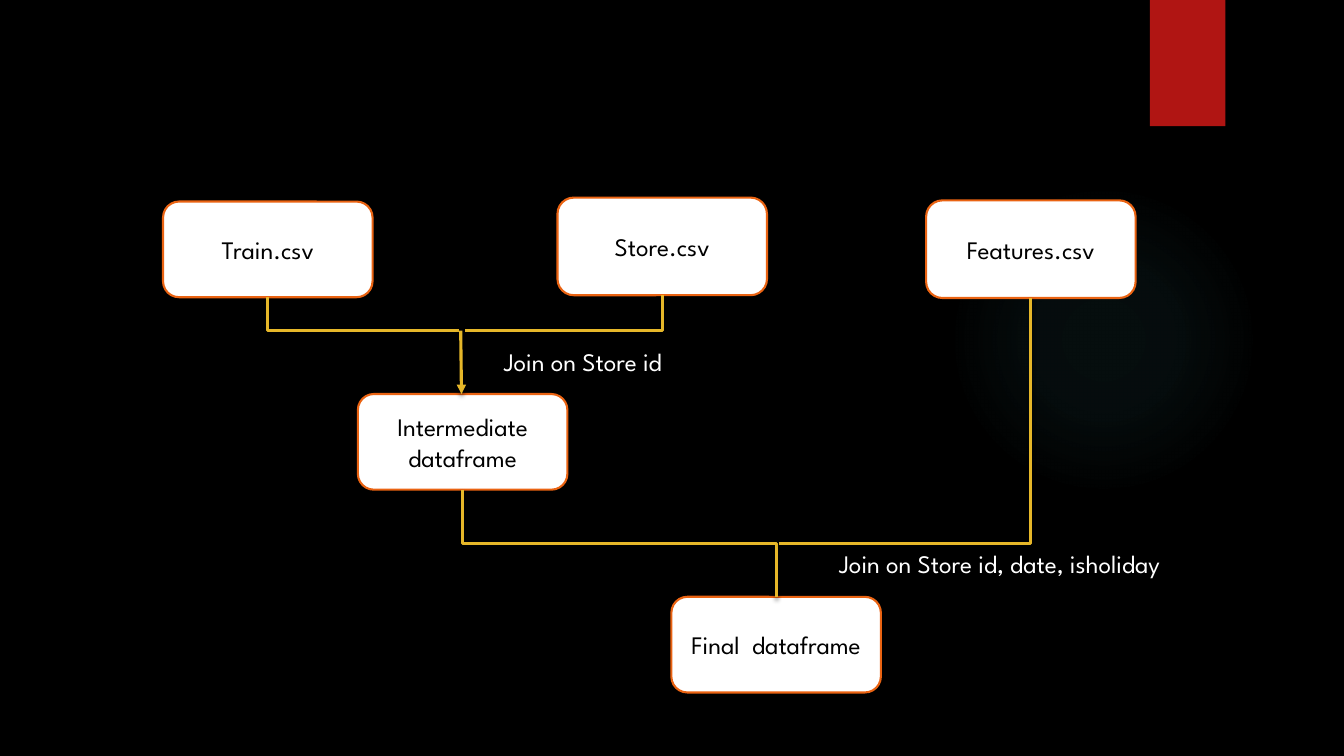
from dataclasses import dataclass

from lxml import etree
from pptx import Presentation
from pptx.dml.color import RGBColor
from pptx.enum.shapes import MSO_CONNECTOR, MSO_SHAPE
from pptx.enum.text import MSO_ANCHOR, PP_ALIGN
from pptx.oxml import parse_xml
from pptx.oxml.ns import qn
from pptx.util import Cm, Pt

ELBOW, STRAIGHT = MSO_CONNECTOR.ELBOW, MSO_CONNECTOR.STRAIGHT
ELLIPSE, RECT, ROUNDED = MSO_SHAPE.OVAL, MSO_SHAPE.RECTANGLE, MSO_SHAPE.ROUNDED_RECTANGLE
CENTER, MIDDLE = PP_ALIGN.CENTER, MSO_ANCHOR.MIDDLE

BLACK = RGBColor(0x00, 0x00, 0x00)
WHITE = RGBColor(0xFF, 0xFF, 0xFF)
RED = RGBColor(0xB0, 0x15, 0x13)
ORANGE = RGBColor(0xEA, 0x63, 0x12)
GOLD = RGBColor(0xE6, 0xB7, 0x29)
TEAL = RGBColor(0x50, 0xB9, 0xC1)

FONT = "League Spartan"
BOX_WIDTH = 5.28
NS = 'xmlns:a="http://schemas.openxmlformats.org/drawingml/2006/main"'


@dataclass(frozen=True)
class Box:
    text: str
    left: float
    top: float
    height: float = 2.41

    @property
    def center(self) -> float:
        return self.left + BOX_WIDTH / 2

    @property
    def bottom(self) -> float:
        return self.top + self.height


@dataclass(frozen=True)
class Label:
    text: str
    left: float
    top: float
    width: float


@dataclass(frozen=True)
class Elbow:
    source: Box
    end_x: float
    end_y: float
    preset: str = "bentConnector2"


TRAIN = Box("Train.csv", 4.11, 5.08)
STORE = Box("Store.csv", 14.05, 4.98, 2.46)
FEATURES = Box("Features.csv", 23.34, 5.05, 2.46)
INTERMEDIATE = Box("Intermediate dataframe", 9.02, 9.93)
FINAL = Box("Final  dataframe", 16.92, 15.04)
BOXES = [TRAIN, STORE, FEATURES, INTERMEDIATE, FINAL]

JOIN_Y = 8.33
ELBOWS = [
    Elbow(TRAIN, 11.58, JOIN_Y),
    Elbow(STORE, 11.71, JOIN_Y),
    Elbow(INTERMEDIATE, FINAL.center, FINAL.top, "bentConnector3"),
    Elbow(FEATURES, 19.63, 13.69),
]
LABELS = [
    Label("Join on Store id", 12.45, 8.61, 5.23),
    Label("Join on Store id, date, isholiday", 20.9, 13.69, 10.13),
]


def add_shadow(shape) -> None:
    shape._element.spPr.append(parse_xml(
        f'<a:effectLst {NS}><a:outerShdw blurRad="38100" dist="25400" dir="5400000" '
        'rotWithShape="0"><a:srgbClr val="000000"><a:alpha val="45000"/></a:srgbClr>'
        '</a:outerShdw></a:effectLst>'))


def add_plain(s, kind, left: float, top: float, width: float, height: float, color: RGBColor):
    sp = s.shapes.add_shape(kind, Cm(left), Cm(top), Cm(width), Cm(height))
    sp.fill.solid()
    sp.fill.fore_color.rgb = color
    sp.line.fill.background()
    return sp


def add_glow(s) -> None:
    sp = add_plain(s, ELLIPSE, 23.9, 4.65, 7.82, 7.82, TEAL)
    sp.shadow.inherit = False
    stops = "".join(
        f'<a:gs pos="{pos}000"><a:srgbClr val="{TEAL}"><a:alpha val="{alpha}000"/></a:srgbClr></a:gs>'
        for pos, alpha in [(0, 7), (36, 6), (69, 0)])
    spPr = sp._element.spPr
    spPr.replace(spPr.find(qn("a:solidFill")), parse_xml(
        f'<a:gradFill {NS}><a:gsLst>{stops}</a:gsLst><a:path path="circle">'
        '<a:fillToRect l="50000" t="50000" r="50000" b="50000"/></a:path></a:gradFill>'))


def write(tf, text: str, color: RGBColor) -> None:
    tf.text = text
    font = tf.paragraphs[0].runs[0].font
    font.name, font.size = FONT, Pt(18)
    font.color.rgb = color


def add_box(s, box: Box) -> None:
    sp = add_plain(s, ROUNDED, box.left, box.top, BOX_WIDTH, box.height, WHITE)
    sp.shadow.inherit = False
    sp.line.color.rgb = ORANGE
    sp.line.width = Pt(1.5)
    tf = sp.text_frame
    tf.word_wrap = True
    tf.vertical_anchor = MIDDLE
    write(tf, box.text, BLACK)
    tf.paragraphs[0].alignment = CENTER


def add_label(s, label: Label) -> None:
    sp = s.shapes.add_textbox(Cm(label.left), Cm(label.top), Cm(label.width), Cm(1.02))
    sp.text_frame.word_wrap = False
    write(sp.text_frame, label.text, WHITE)


def add_line(s, kind, x1: float, y1: float, x2: float, y2: float):
    cxn = s.shapes.add_connector(kind, Cm(x1), Cm(y1), Cm(x2), Cm(y2))
    cxn.line.color.rgb = GOLD
    cxn.line.width = Pt(2.25)
    add_shadow(cxn)
    return cxn


def add_elbow(s, elbow: Elbow) -> None:
    x1, y1 = elbow.source.center, elbow.source.bottom
    x2, y2 = elbow.end_x, elbow.end_y
    run, drop = abs(x2 - x1), y2 - y1
    left = (x1 + x2 - drop) / 2
    top = (y1 + y2 - run) / 2
    cxn = add_line(s, ELBOW, left, top, left + drop, top + run)
    spPr = cxn._element.spPr
    spPr.find(qn("a:prstGeom")).set("prst", elbow.preset)
    xfrm = spPr.find(qn("a:xfrm"))
    if x2 > x1:
        xfrm.set("rot", str(270 * 60000))
        xfrm.set("flipH", "1")
    else:
        xfrm.set("rot", str(90 * 60000))


def add_arrow(s) -> None:
    cxn = add_line(s, STRAIGHT, 11.61, JOIN_Y, 11.63, INTERMEDIATE.top)
    ln = cxn._element.spPr.find(qn("a:ln"))
    etree.SubElement(ln, qn("a:tailEnd")).set("type", "triangle")


def main() -> None:
    prs = Presentation()
    prs.slide_width, prs.slide_height = Cm(33.87), Cm(19.05)
    s = prs.slides.add_slide(prs.slide_layouts[6])
    s.background.fill.solid()
    s.background.fill.fore_color.rgb = BLACK
    add_glow(s)
    add_shadow(add_plain(s, RECT, 28.98, 0, 1.9, 3.18, RED))
    for box in BOXES:
        add_box(s, box)
    for elbow in ELBOWS:
        add_elbow(s, elbow)
    add_arrow(s)
    for label in LABELS:
        add_label(s, label)
    prs.save("out.pptx")


if __name__ == "__main__":
    main()
